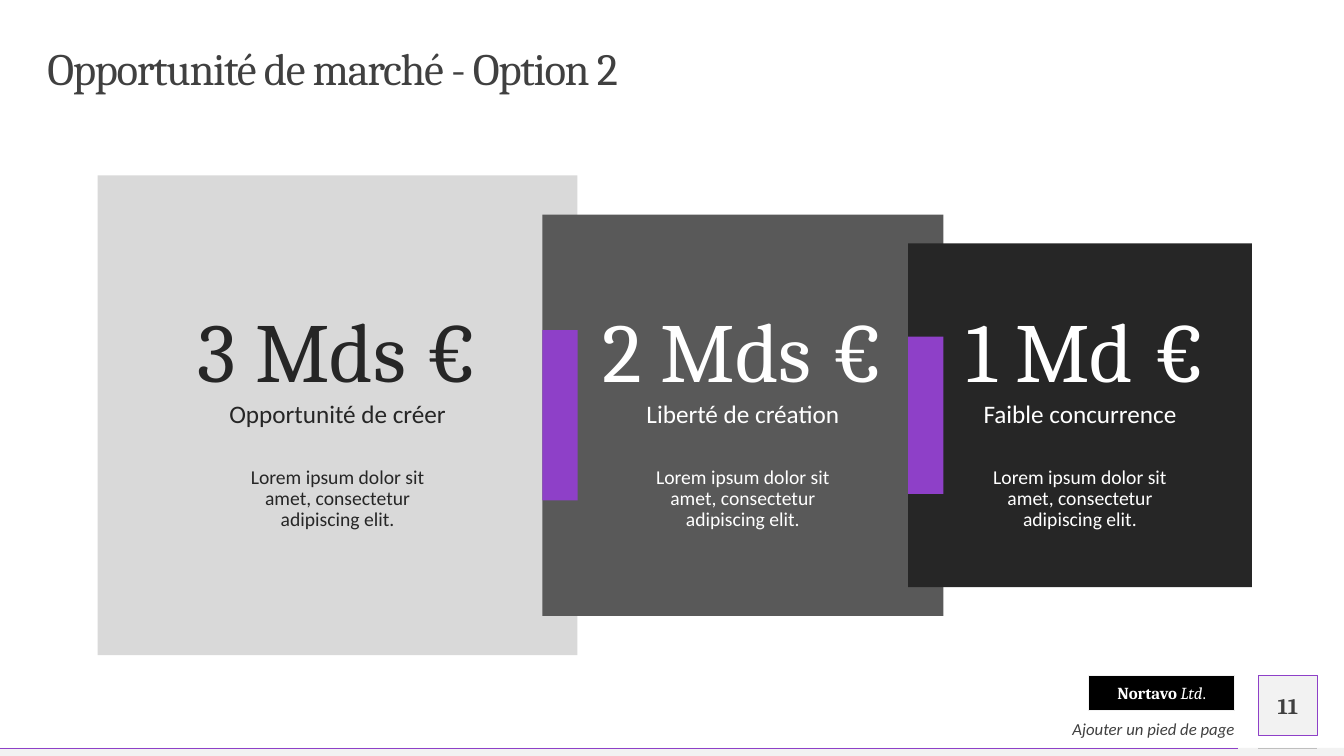
"""Build the market opportunity slide with three overlapping squares."""
from dataclasses import dataclass

from lxml import etree
from pptx import Presentation
from pptx.dml.color import RGBColor
from pptx.enum.shapes import MSO_CONNECTOR, MSO_SHAPE
from pptx.enum.text import MSO_ANCHOR, PP_ALIGN
from pptx.oxml.ns import qn
from pptx.shapes.autoshape import Shape
from pptx.slide import Slide
from pptx.util import Pt

RECT = MSO_SHAPE.RECTANGLE
STRAIGHT = MSO_CONNECTOR.STRAIGHT
TOP, MIDDLE, BOTTOM = MSO_ANCHOR.TOP, MSO_ANCHOR.MIDDLE, MSO_ANCHOR.BOTTOM
LEFT, CENTER, RIGHT = PP_ALIGN.LEFT, PP_ALIGN.CENTER, PP_ALIGN.RIGHT

WHITE = RGBColor(0xFF, 0xFF, 0xFF)
BLACK = RGBColor(0x00, 0x00, 0x00)
PALE = RGBColor(0xF2, 0xF2, 0xF2)
LIGHT = RGBColor(0xD9, 0xD9, 0xD9)
SILVER = RGBColor(0xBF, 0xBF, 0xBF)
GREY = RGBColor(0x59, 0x59, 0x59)
DARK = RGBColor(0x40, 0x40, 0x40)
INK = RGBColor(0x26, 0x26, 0x26)
PURPLE = RGBColor(0x8E, 0x40, 0xC8)

SERIF, SANS = "Cambria", "Calibri"
SLIDE_W, SLIDE_H = 960, 540
CARDS_LEFT, CARDS_MIDDLE, OVERLAP = 69.84, 296.64, 25.2
AMOUNT_TOP, AMOUNT_H = 173.5, 113
DETAIL_TOP, DETAIL_W, DETAIL_H = 334, 156.2, 57
FOOTER_TOP, PAGE_LEFT, PAGE_SIZE = 534.2, 898.6, 42.5
DETAIL = "Lorem ipsum dolor sit amet, consectetur adipiscing elit."


@dataclass(frozen=True)
class Card:
    size: float
    fill: RGBColor
    ink: RGBColor
    amount: str
    label: str
    amount_w: float = 221
    amount_shift: float = 0
    accent_h: float = 0


CARDS = (
    Card(342.72, LIGHT, INK, "3\u00a0Mds €", "Opportunité de créer"),
    Card(286.56, GREY, WHITE, "2\u00a0Mds\u00a0€", "Liberté de création", accent_h=121.7),
    Card(245.52, INK, WHITE, "1\u00a0Md\u00a0€", "Faible concurrence",
         amount_w=204.5, amount_shift=4, accent_h=112.3),
)


def add_run(sp: Shape, text: str, *, size: float, color: RGBColor, font: str = SANS,
            bold: bool = False, italic: bool = False, spacing: float = 0) -> None:
    """Append a formatted run to the first paragraph of a shape."""
    r = sp.text_frame.paragraphs[0].add_run()
    r.text = text
    r.font.name, r.font.size = font, Pt(size)
    r.font.bold, r.font.italic = bold, italic
    r.font.color.rgb = color
    if spacing:
        r._r.get_or_add_rPr().set("spc", str(round(spacing * 100)))


def set_frame(sp: Shape, *, anchor: MSO_ANCHOR = MIDDLE, align: PP_ALIGN = CENTER,
              line_spacing: float = 1.0, wrap: bool = True) -> None:
    """Set the margins, anchor and alignment of a shape's text."""
    tf = sp.text_frame
    tf.word_wrap, tf.vertical_anchor = wrap, anchor
    tf.margin_left = tf.margin_top = tf.margin_right = tf.margin_bottom = 0
    p = tf.paragraphs[0]
    p.alignment, p.line_spacing = align, line_spacing


def add_text(slide: Slide, text: str, x: float, y: float, w: float, h: float, *,
             anchor: MSO_ANCHOR = MIDDLE, align: PP_ALIGN = CENTER,
             line_spacing: float = 1.0, size: float, color: RGBColor, font: str = SANS,
             bold: bool = False, italic: bool = False, spacing: float = 0) -> None:
    """Add a text box holding one formatted paragraph."""
    sp = slide.shapes.add_textbox(Pt(x), Pt(y), Pt(w), Pt(h))
    set_frame(sp, anchor=anchor, align=align, line_spacing=line_spacing)
    add_run(sp, text, size=size, color=color, font=font, bold=bold, italic=italic,
            spacing=spacing)


def add_rect(slide: Slide, x: float, y: float, w: float, h: float, fill: RGBColor,
             line: RGBColor | None = None, line_w: float = 0) -> Shape:
    """Add a flat rectangle, outlined when a line colour is given."""
    sp = slide.shapes.add_shape(RECT, Pt(x), Pt(y), Pt(w), Pt(h))
    sp.shadow.inherit = False
    sp.fill.solid()
    sp.fill.fore_color.rgb = fill
    if line is None:
        sp.line.fill.background()
    else:
        sp.line.color.rgb = line
        sp.line.width = Pt(line_w)
    return sp


def add_rule(slide: Slide, x1: float, x2: float, y: float, color: RGBColor,
             width: float) -> None:
    """Add a horizontal line without shadow."""
    rule = slide.shapes.add_connector(STRAIGHT, Pt(x1), Pt(y), Pt(x2), Pt(y))
    rule.line.color.rgb = color
    rule.line.width = Pt(width)
    etree.SubElement(rule._element.spPr, qn("a:effectLst"))


def add_footer(slide: Slide) -> None:
    """Add the bottom band, company badge, footer text and page number."""
    page_right = PAGE_LEFT + PAGE_SIZE
    add_rect(slide, PAGE_LEFT, 482.4, PAGE_SIZE, PAGE_SIZE, PALE, PURPLE, 0.25)
    add_rect(slide, 0, FOOTER_TOP, SLIDE_W, SLIDE_H - FOOTER_TOP, PALE)
    add_rule(slide, PAGE_LEFT, page_right, FOOTER_TOP, SILVER, 0.5)
    add_rule(slide, 0, 884.2, FOOTER_TOP, PURPLE, 0.25)
    badge = add_rect(slide, 777.6, 482.4, 104.4, 25.2, BLACK, PALE, 0.75)
    set_frame(badge, wrap=False)
    add_run(badge, "Nortavo ", size=12, color=WHITE, font=SERIF, bold=True)
    add_run(badge, "Ltd", size=12, color=WHITE, font=SERIF, italic=True)
    add_run(badge, ".", size=12, color=WHITE, font=SERIF)
    add_text(slide, "Ajouter un pied de page", 558, 511.2, 324, 16.6, anchor=BOTTOM,
             align=RIGHT, size=12, color=DARK, italic=True)
    add_text(slide, "11", PAGE_LEFT, 489.6, PAGE_SIZE, 28.8, size=16, color=DARK,
             font=SERIF, bold=True)


def add_card(slide: Slide, card: Card, x: float) -> None:
    """Add one square with its label, amount and detail text."""
    sp = add_rect(slide, x, CARDS_MIDDLE - card.size / 2, card.size, card.size, card.fill)
    set_frame(sp, line_spacing=0.9)
    add_run(sp, card.label, size=18, color=card.ink)
    mid = x + card.size / 2
    add_text(slide, card.amount, mid + card.amount_shift - card.amount_w / 2, AMOUNT_TOP,
             card.amount_w, AMOUNT_H, anchor=BOTTOM, line_spacing=0.9, size=60,
             color=card.ink, font=SERIF)
    add_text(slide, DETAIL, mid - DETAIL_W / 2, DETAIL_TOP, DETAIL_W, DETAIL_H,
             anchor=TOP, line_spacing=0.9, size=14, color=card.ink)


def main() -> None:
    """Build and save the slide."""
    prs = Presentation()
    prs.slide_width, prs.slide_height = Pt(SLIDE_W), Pt(SLIDE_H)
    slide = prs.slides.add_slide(prs.slide_layouts[6])
    add_footer(slide)
    add_text(slide, "Opportunité de marché - Option 2", 33.84, 33.84, 892.8, 33.84,
             align=LEFT, line_spacing=0.9, size=32, color=DARK, font=SERIF, spacing=-1)
    x = CARDS_LEFT
    for card in CARDS:
        add_card(slide, card, x)
        if card.accent_h:
            add_rect(slide, x, CARDS_MIDDLE - card.accent_h / 2, OVERLAP, card.accent_h,
                     PURPLE)
        x += card.size - OVERLAP
    prs.save("out.pptx")


if __name__ == "__main__":
    main()
